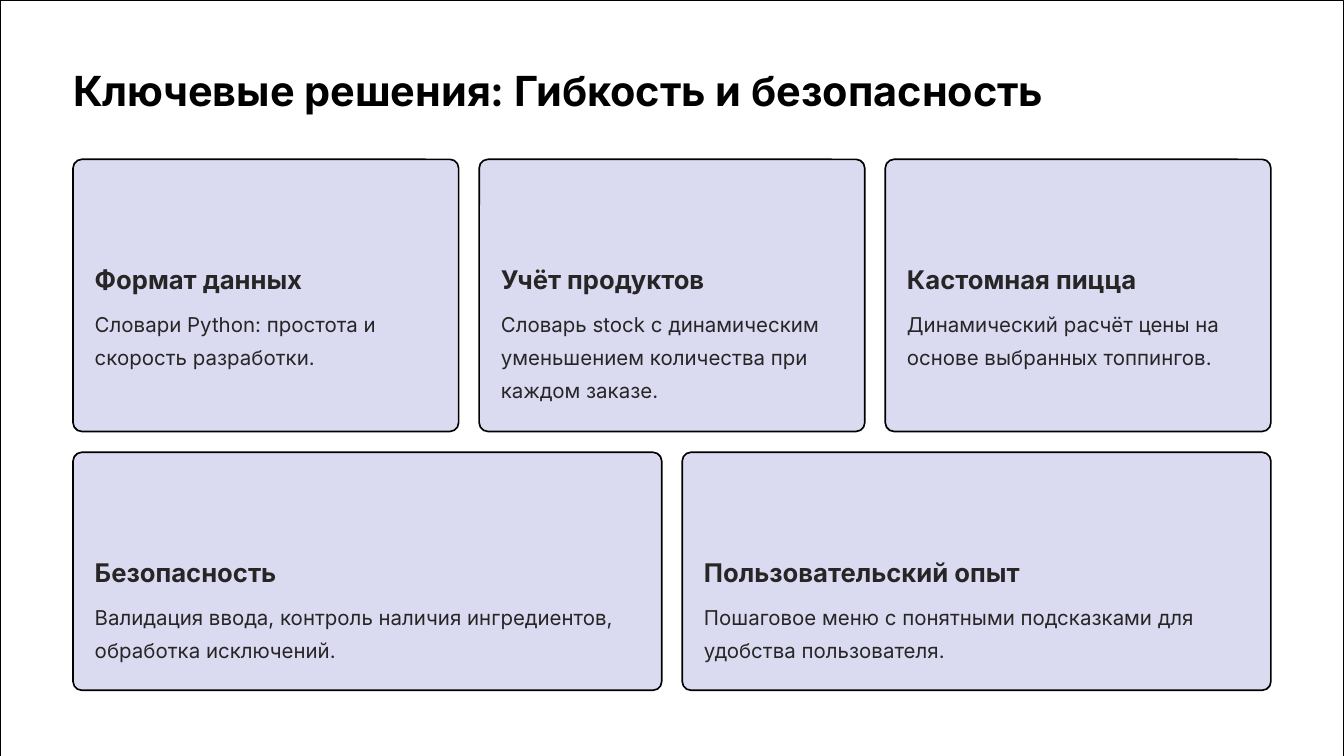
from pptx import Presentation
from pptx.dml.color import RGBColor
from pptx.enum.shapes import MSO_SHAPE
from pptx.util import Pt

RECTANGLE = MSO_SHAPE.RECTANGLE
ROUNDED = MSO_SHAPE.ROUNDED_RECTANGLE

TITLE = "Ключевые решения: Гибкость и безопасность"
ROWS = [
    {"top": 170.7, "height": 291.6, "cards": [
        ("Формат данных", "Словари Python: простота и скорость разработки."),
        ("Учёт продуктов",
         "Словарь stock с динамическим уменьшением количества при каждом заказе."),
        ("Кастомная пицца", "Динамический расчёт цены на основе выбранных топпингов."),
    ]},
    {"top": 484.6, "height": 255, "cards": [
        ("Безопасность",
         "Валидация ввода, контроль наличия ингредиентов, обработка исключений."),
        ("Пользовательский опыт",
         "Пошаговое меню с понятными подсказками для удобства пользователя."),
    ]},
]

WIDTH, HEIGHT = 1440, 810
MARGIN, GAP, PADDING = 78.3, 22, 23.2
RADIUS = 9.4
HEADING_OFFSET, BODY_OFFSET = 110.8, 154.2


def color(value):
    return RGBColor.from_string(value)


def add_panel(page, kind, left, top, width, height, fill, line_width):
    panel = page.shapes.add_shape(kind, Pt(left), Pt(top), Pt(width), Pt(height))
    panel.shadow.inherit = False
    panel.fill.solid()
    panel.fill.fore_color.rgb = color(fill)
    panel.line.color.rgb = color("000000")
    panel.line.width = Pt(line_width)
    return panel


def add_text(page, text, left, top, width, height, size, spacing, ink="272525", bold=False):
    box = page.shapes.add_textbox(Pt(left), Pt(top), Pt(width), Pt(height))
    frame = box.text_frame
    frame.word_wrap = True
    frame.margin_left = frame.margin_top = frame.margin_right = frame.margin_bottom = 0
    para = frame.paragraphs[0]
    para.line_spacing = Pt(spacing)
    span = para.add_run()
    span.text = text
    span.font.name = "Inter"
    span.font.size = Pt(size)
    span.font.bold = bold
    span.font.color.rgb = color(ink)


def add_card(page, heading, body, left, top, width, height):
    card = add_panel(page, ROUNDED, left, top, width, height, "DADBF1", 1.75)
    card.adjustments[0] = RADIUS / min(width, height)
    inner_left, inner_width = left + PADDING, width - 2 * PADDING
    add_text(page, heading, inner_left, top + HEADING_OFFSET, inner_width, 36.7,
             size=27.5, spacing=34.4, bold=True)
    add_text(page, body, inner_left, top + BODY_OFFSET, inner_width,
             height - BODY_OFFSET - PADDING, size=21.9, spacing=35.6)


def main():
    deck = Presentation()
    deck.slide_width, deck.slide_height = Pt(WIDTH), Pt(HEIGHT)
    page = deck.slides.add_slide(deck.slide_layouts[6])
    page.background.fill.solid()
    page.background.fill.fore_color.rgb = color("000000")
    add_panel(page, RECTANGLE, 0, 0, WIDTH, HEIGHT, "FFFFFF", 1)
    add_text(page, TITLE, MARGIN, 67.7, 1046, 58.3,
             size=44.4, spacing=55.6, ink="000000", bold=True)
    for row in ROWS:
        count = len(row["cards"])
        width = (WIDTH - 2 * MARGIN - (count - 1) * GAP) / count
        for index, (heading, body) in enumerate(row["cards"]):
            left = MARGIN + index * (width + GAP)
            add_card(page, heading, body, left, row["top"], width, row["height"])
    deck.save("out.pptx")


if __name__ == "__main__":
    main()
